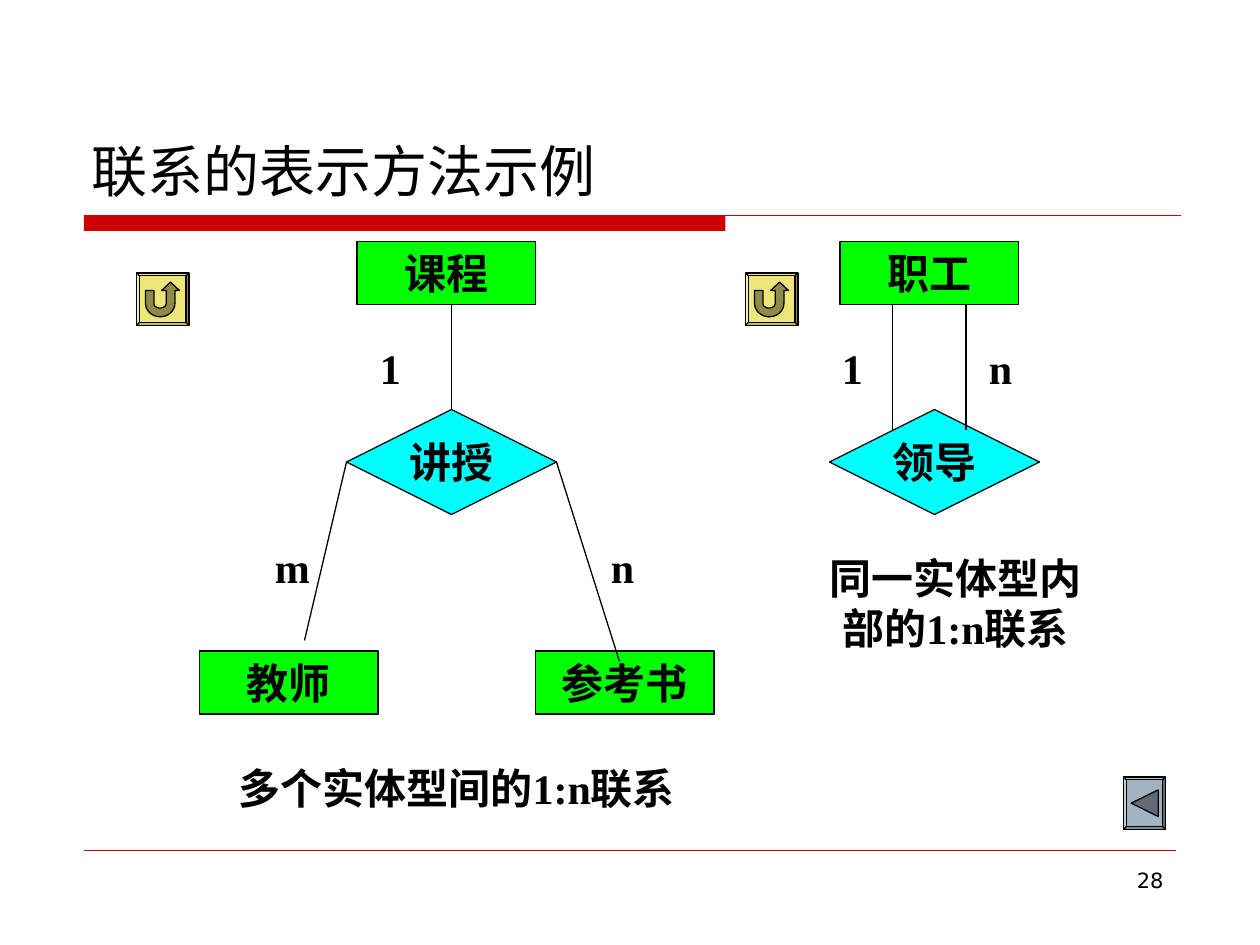
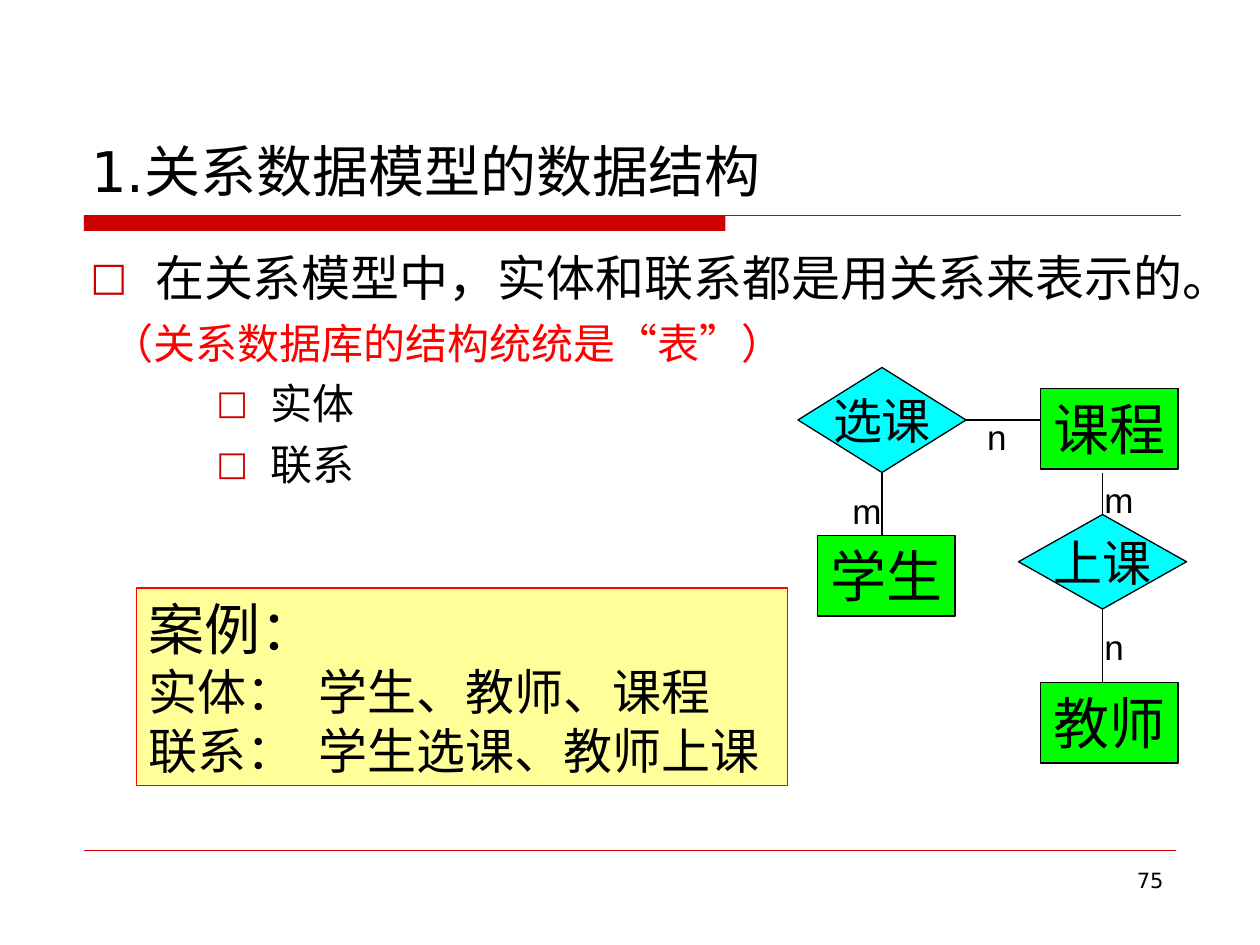
from math import cos, pi, sin

from lxml.etree import SubElement
from pptx import Presentation
from pptx.dml.color import RGBColor
from pptx.enum.shapes import MSO_CONNECTOR, MSO_SHAPE
from pptx.enum.text import MSO_ANCHOR, PP_ALIGN
from pptx.oxml.ns import qn
from pptx.util import Pt

# Shared style
BLACK, RED, BRIGHT_RED = "000000", "CC0000", "FF0000"
GREEN, CYAN, YELLOW = "00FF00", "00FFFF", "FFFF99"
SANS, ARIAL, SERIF = "DejaVu Sans", "Arial", "Times New Roman"
TOP, LEFT, BOTTOM, RIGHT = range(4)

# Diagrams: nodes and labels are (text, left, top, width, height)
EXAMPLES = {
    "font": SERIF, "bold": True, "wrap": True,
    "sizes": {"entity": 24, "relation": 24, "label": 24},
    "align": PP_ALIGN.CENTER,
    "entities": [
        ("课程", 204, 138, 102, 36), ("职工", 480, 138, 102, 36),
        ("教师", 114, 372, 102, 36), ("参考书", 306, 372, 102, 36),
    ],
    "relations": [("讲授", 198, 234, 120, 60), ("领导", 474, 234, 120, 60)],
    "labels": [
        ("1", 210, 192, 30, 36), ("m", 150, 306, 30, 36), ("n", 342, 306, 30, 36),
        ("1", 474, 192, 30, 36), ("n", 558, 192, 30, 36),
    ],
    # (relation, its corner, far end)
    "edges": [
        ("讲授", TOP, (258, 174)), ("讲授", LEFT, (174, 366)),
        ("讲授", RIGHT, (354, 378)),
    ],
}
LEADER_LINES = [510, 552]
CAPTIONS = [
    ("同一实体型内部的1:n联系", 456, 312, 180, 65),
    ("多个实体型间的1:n联系", 114, 432, 294, 36),
]
STRUCTURE = {
    "font": ARIAL, "bold": False, "wrap": False,
    "sizes": {"entity": 32, "relation": 28, "label": 20},
    "align": PP_ALIGN.LEFT,
    "entities": [
        ("学生", 467.3, 306, 78.5, 46), ("教师", 594.7, 390, 78.5, 46),
        ("课程", 594.7, 222, 78.5, 46),
    ],
    "relations": [("选课", 456, 210, 96, 60), ("上课", 582, 294, 96, 54)],
    "labels": [
        ("m", 480, 276, 31, 32), ("n", 557, 234, 25, 32),
        ("m", 624, 270, 31, 32), ("n", 624, 354, 25, 32),
    ],
    "edges": [
        ("选课", BOTTOM, (504, 306)), ("选课", RIGHT, (594, 240)),
        ("上课", TOP, (630, 270)), ("上课", BOTTOM, (630, 390)),
    ],
}

# Paragraphs: (runs, size, colour, left margin, hanging, space before, bullet)
BODY = [
    ([("在关系模型中，实体和联系都是用关系来表示的。", SANS)], 28, BLACK, 37, 37, 0, True),
    ([("（关系数据库的结构统统是", SANS), ("“", ARIAL), ("表", SANS), ("”", ARIAL),
      ("）", SANS)], 24, BRIGHT_RED, 12, 0, 6, False),
    ([("实体", SANS)], 24, BLACK, 103, 31, 6, True),
    ([("联系", SANS)], 24, BLACK, 103, 31, 6, True),
]
CASE = [("案例：", 32), ("实体：\t学生、教师、课程", 28), ("联系：\t学生选课、教师上课", 28)]


# Basic parts
def color(value):
    return RGBColor.from_string(value)


def add_run(para, text, size, font, bold=False, ink=BLACK):
    span = para.add_run()
    span.text = text
    span.font.size, span.font.name, span.font.bold = Pt(size), font, bold
    span.font.color.rgb = color(ink)


def prepare_frame(box, anchor=MSO_ANCHOR.TOP, wrap=True):
    frame = box.text_frame
    frame.word_wrap, frame.vertical_anchor = wrap, anchor
    return frame


def write(box, text, size, font, bold=False, align=PP_ALIGN.LEFT,
          anchor=MSO_ANCHOR.TOP, wrap=True):
    para = prepare_frame(box, anchor, wrap).paragraphs[0]
    para.alignment = align
    add_run(para, text, size, font, bold)


def add_text(page, text, area, *style, **more):
    write(page.shapes.add_textbox(*map(Pt, area)), text, *style, **more)


def paint(shape, fill, line=BLACK):
    shape.shadow.inherit = False
    shape.fill.solid()
    shape.fill.fore_color.rgb = color(fill)
    if line:
        shape.line.color.rgb = color(line)
        shape.line.width = Pt(0.75)
    else:
        shape.line.fill.background()
    return shape


def add_box(page, kind, area, fill, line=BLACK):
    return paint(page.shapes.add_shape(kind, *map(Pt, area)), fill, line)


def add_line(page, start, end, ink=BLACK, width=0.75):
    line = page.shapes.add_connector(MSO_CONNECTOR.STRAIGHT, *map(Pt, (*start, *end)))
    line.line.color.rgb = color(ink)
    line.line.width = Pt(width)
    SubElement(line._element.spPr, qn("a:effectLst"))
    return line


def add_outline(page, points, fill):
    corners = [(Pt(x), Pt(y)) for x, y in points]
    builder = page.shapes.build_freeform(*corners[0], scale=1.0)
    builder.add_line_segments(corners[1:], close=True)
    return paint(builder.convert_to_shape(), fill)


# Page frame: title, band, footer
def add_page(deck, title, number):
    page = deck.slides.add_slide(deck.slide_layouts[6])
    add_box(page, MSO_SHAPE.RECTANGLE, (48, 123, 366.5, 9), RED, None)
    add_line(page, (48, 123), (674.6, 123), RED)
    add_line(page, (48, 486), (672, 486), RED, 0.25)
    add_text(page, number, (516, 492, 156, 37.5), 12, SANS, align=PP_ALIGN.RIGHT)
    add_text(page, title, (45, 24, 630, 96), 32, SANS, anchor=MSO_ANCHOR.BOTTOM)
    return page


# Entity-relationship diagram
def add_diagram(page, plan):
    font, bold, wrap, sizes = plan["font"], plan["bold"], plan["wrap"], plan["sizes"]
    for text, *area in plan["entities"]:
        box = add_box(page, MSO_SHAPE.RECTANGLE, area, GREEN)
        write(box, text, sizes["entity"], font, bold, plan["align"], wrap=wrap)
    diamonds = {}
    for text, *area in plan["relations"]:
        diamonds[text] = add_box(page, MSO_SHAPE.DIAMOND, area, CYAN)
        write(diamonds[text], text, sizes["relation"], font, bold, PP_ALIGN.CENTER,
              MSO_ANCHOR.MIDDLE, wrap=False)
    for name, corner, end in plan["edges"]:
        add_line(page, end, end).begin_connect(diamonds[name], corner)
    for text, *area in plan["labels"]:
        add_text(page, text, area, sizes["label"], font, bold, wrap=wrap)


# Navigation buttons
def half_ellipse(x, y, width, height, start, stop, steps=16):
    angles = [start + (stop - start) * i / steps for i in range(steps + 1)]
    return [(x + width * cos(a), y + height * sin(a)) for a in angles]


RETURN_ICON = [
    (5.2, 10), (10, 10), *half_ellipse(13.5, 17.5, 3.5, 2.5, pi, 0),
    (17, 10), (14.4, 10), (19.5, 5.2), (24.6, 10), (22, 10),
    *half_ellipse(13.6, 17.3, 8.4, 7.7, 0, pi),
]
BACK_ICON = [(4.4, 15), (19.8, 7.4), (19.8, 22.6)]


def add_button(page, left, top, width, fill, icon, icon_fill):
    button = add_box(page, MSO_SHAPE.BEVEL, (left, top, width, 30), fill)
    button.adjustments[0] = 1.6 / width
    add_outline(page, [(left + x, top + y) for x, y in icon], icon_fill)


# Body list and case box
def set_indent(para, margin, hanging, bullet):
    props = para._p.get_or_add_pPr()
    props.set("marL", str(Pt(margin)))
    props.set("indent", str(-Pt(hanging)))
    if bullet:
        SubElement(SubElement(props, qn("a:buClr")), qn("a:srgbClr"), val=RED)
        SubElement(props, qn("a:buSzPct"), val="80000")
        SubElement(props, qn("a:buFont"), typeface=SANS)
        SubElement(props, qn("a:buChar"), char="□")
    else:
        SubElement(props, qn("a:buNone"))


def next_para(frame, index):
    return frame.add_paragraph() if index else frame.paragraphs[0]


def add_body(page):
    frame = prepare_frame(page.shapes.add_textbox(Pt(44.6), Pt(138), Pt(645), Pt(240)))
    for index, (runs, size, ink, margin, hanging, before, bullet) in enumerate(BODY):
        para = next_para(frame, index)
        set_indent(para, margin, hanging, bullet)
        para.space_before = Pt(before)
        for text, font in runs:
            add_run(para, text, size, font, ink=ink)


def add_case(page):
    box = add_box(page, MSO_SHAPE.RECTANGLE, (78, 336, 372, 113), YELLOW, BRIGHT_RED)
    frame = prepare_frame(box)
    for index, (text, size) in enumerate(CASE):
        para = next_para(frame, index)
        stops = SubElement(para._p.get_or_add_pPr(), qn("a:tabLst"))
        SubElement(stops, qn("a:tab"), pos=str(Pt(97)), algn="l")
        para.alignment = PP_ALIGN.LEFT
        add_run(para, text, size, ARIAL)


def main():
    deck = Presentation()
    deck.slide_width, deck.slide_height = Pt(720), Pt(540)

    page = add_page(deck, "联系的表示方法示例", "28")
    add_diagram(page, EXAMPLES)
    for x in LEADER_LINES:
        add_line(page, (x, 174), (x, 246))
    for text, *area in CAPTIONS:
        add_text(page, text, area, 24, SERIF, True, PP_ALIGN.CENTER)
    add_button(page, 642, 444, 24, "A3B2C1", BACK_ICON, "626B74")
    for left in (78, 426):
        add_button(page, left, 156, 30, "EEE678", RETURN_ICON, "8F8A48")

    page = add_page(deck, "1.关系数据模型的数据结构", "75")
    add_body(page)
    add_case(page)
    add_diagram(page, STRUCTURE)

    deck.save("out.pptx")


if __name__ == "__main__":
    main()
